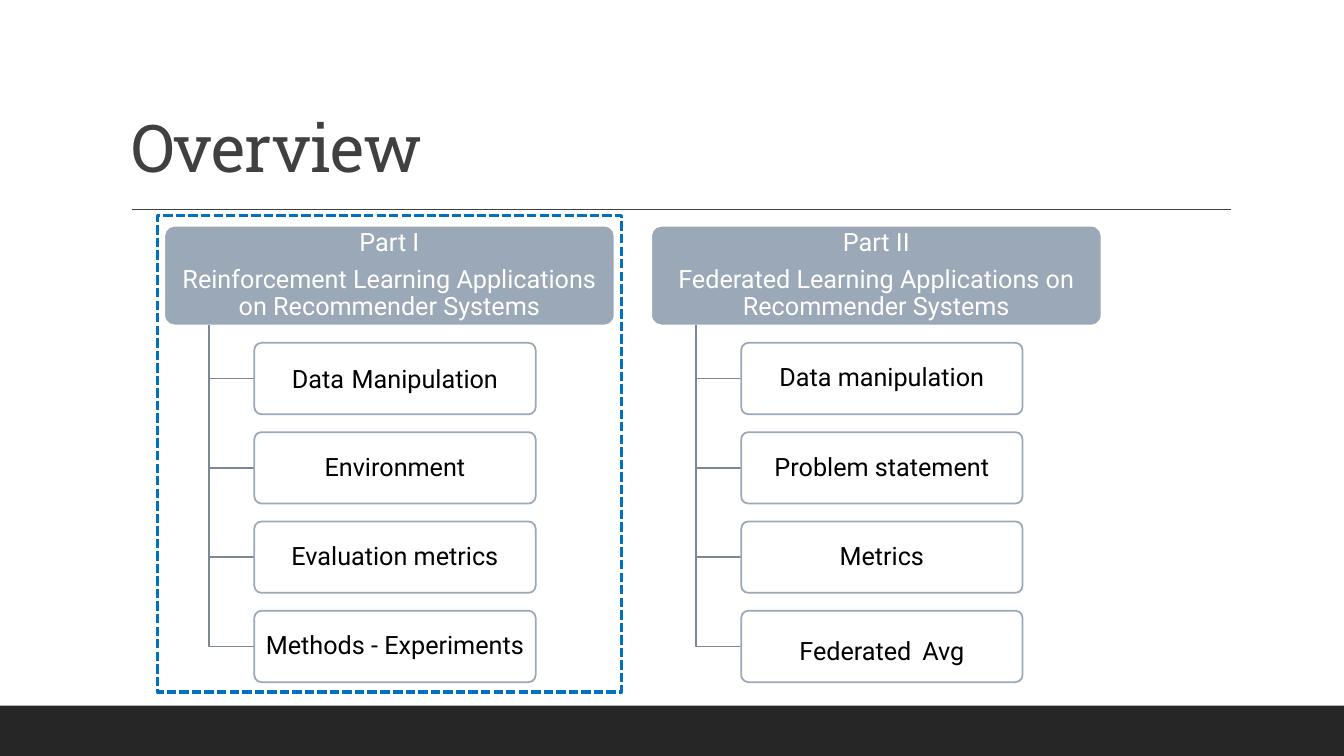
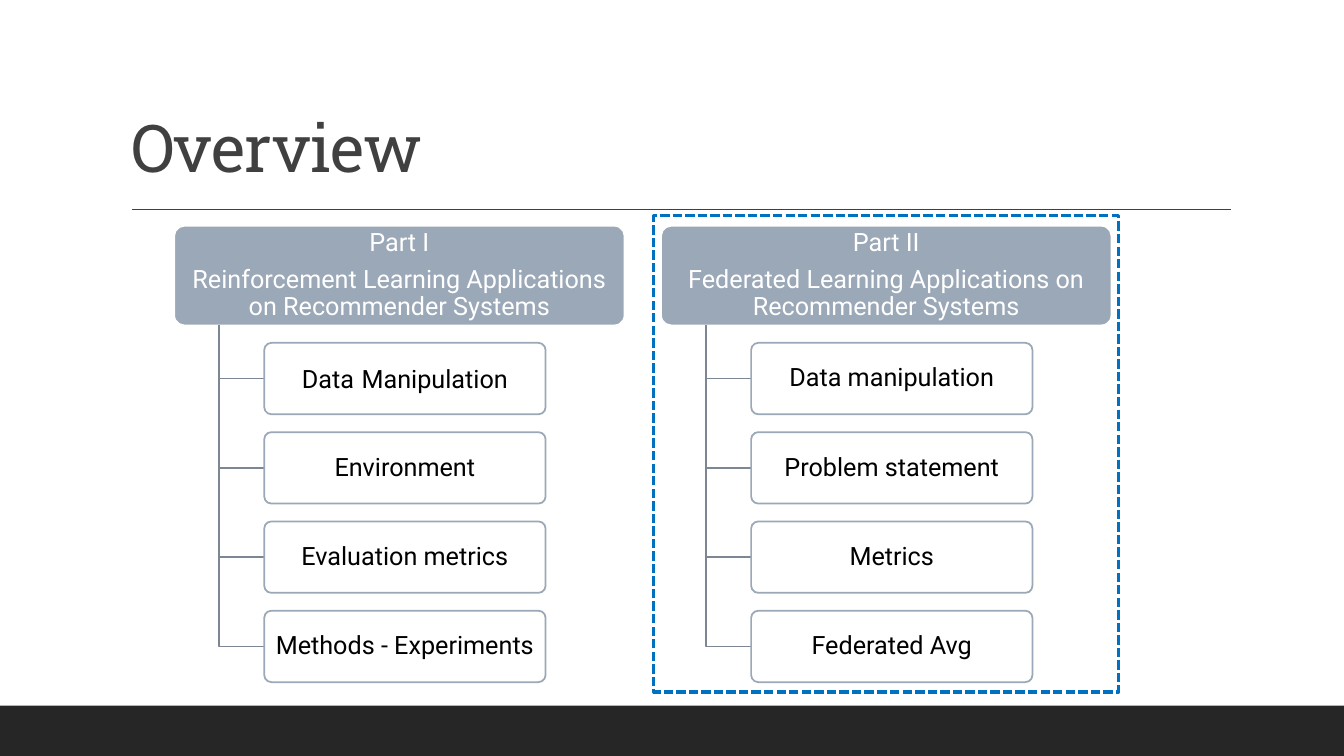
import dataclasses

import pptx
import pptx.dml.color
import pptx.enum.dml
import pptx.enum.shapes
import pptx.enum.text
import pptx.oxml
import pptx.oxml.ns
import pptx.util
from lxml import etree

Cm = pptx.util.Cm
Pt = pptx.util.Pt
Shapes = pptx.enum.shapes.MSO_SHAPE
Align = pptx.enum.text.PP_ALIGN
Anchor = pptx.enum.text.MSO_ANCHOR
qn = pptx.oxml.ns.qn


@dataclasses.dataclass(frozen=True)
class Theme:
    """Colours, fonts and type sizes of the presentation."""

    title_font: str = "Roboto Slab"
    body_font: str = "Roboto"
    title_size: float = 47
    body_size: float = 18
    line_spacing: float = 0.9
    space_after: float = 6.7
    outline_width: float = 1.25
    frame_width: float = 2.25
    dark: str = "404040"
    band: str = "262626"
    slate: str = "9BA8B7"
    branch: str = "7C8793"
    highlight: str = "0070C0"
    white: str = "FFFFFF"
    black: str = "000000"


@dataclasses.dataclass(frozen=True)
class Box:
    """A rectangle measured in centimetres."""

    left: float
    top: float
    width: float
    height: float

    def lengths(self):
        """Return the four measures as lengths."""
        return [Cm(value) for value in dataclasses.astuple(self)]


@dataclasses.dataclass(frozen=True)
class Item:
    """A topic whose first space may have its own type size."""

    text: str
    gap_size: float = Theme.body_size


@dataclasses.dataclass(frozen=True)
class Part:
    """One part of the talk with its topics."""

    heading: tuple
    items: tuple


THEME = Theme()
SLIDE = Box(0, 0, 33.87, 19.05)
TITLE = Box(3.05, 0.79, 27.94, 4.04)
COLUMN = Box(4.14, 5.69, 11.35, 11.5)
COLUMN_PITCH = 12.27
HEADER_HEIGHT = 2.51
STEM_INDENT = 1.13
ITEM_INDENT = 2.27
ITEM_WIDTH = 7.09
ITEM_HEIGHT = 1.8
ITEM_PITCH = 2.25

PART_ONE = Part(
    ("Part I", "Reinforcement Learning Applications on Recommender Systems"),
    (
        Item("Data Manipulation", 22),
        Item("Environment"),
        Item("Evaluation metrics"),
        Item("Methods - Experiments"),
    ),
)


def part_two(gap_size):
    """Return the second part with the given gap in its last topic."""
    return Part(
        ("Part II", "Federated Learning Applications on Recommender Systems"),
        (
            Item("Data manipulation"),
            Item("Problem statement"),
            Item("Metrics"),
            Item("Federated Avg", gap_size),
        ),
    )


def colour(value):
    """Turn a hexadecimal value into a colour."""
    return pptx.dml.color.RGBColor.from_string(value)


def style_shape(shape, fill=None, line=None, width=THEME.outline_width):
    """Set fill and outline and remove the shadow."""
    shape.shadow.inherit = False
    if fill:
        shape.fill.solid()
        shape.fill.fore_color.rgb = colour(fill)
    else:
        shape.fill.background()
    if line:
        shape.line.color.rgb = colour(line)
        shape.line.width = Pt(width)
    else:
        shape.line.fill.background()


def style_paragraph(paragraph, font, size, value, align):
    """Set the type and spacing of a paragraph."""
    paragraph.alignment = align
    paragraph.line_spacing = THEME.line_spacing
    paragraph.font.name = font
    paragraph.font.size = Pt(size)
    paragraph.font.color.rgb = colour(value)


def add_card(slide, box, fill, line, items, text_colour):
    """Add a rounded box with one centred paragraph per item."""
    shape = slide.shapes.add_shape(Shapes.ROUNDED_RECTANGLE, *box.lengths())
    shape.adjustments[0] = 0.1
    style_shape(shape, fill, line)
    frame = shape.text_frame
    frame.word_wrap = True
    frame.vertical_anchor = Anchor.MIDDLE
    frame.margin_left = frame.margin_right = Cm(0.17)
    frame.margin_top = frame.margin_bottom = Cm(0.15)
    for index, item in enumerate(items):
        paragraph = frame.add_paragraph() if index else frame.paragraphs[0]
        style_paragraph(paragraph, THEME.body_font, THEME.body_size, text_colour, Align.CENTER)
        paragraph.space_after = Pt(THEME.space_after)
        if item.gap_size == THEME.body_size:
            paragraph.add_run().text = item.text
            continue
        for text in item.text.partition(" "):
            run = paragraph.add_run()
            run.text = text
            if text == " ":
                run.font.size = Pt(item.gap_size)
    return shape


def add_branch(slide, stem, top, end, middle):
    """Add the angled line from a header to one topic."""
    builder = slide.shapes.build_freeform(Cm(stem), Cm(top))
    builder.add_line_segments([(Cm(stem), Cm(middle)), (Cm(end), Cm(middle))], close=False)
    style_shape(builder.convert_to_shape(), line=THEME.branch)


def add_part(slide, box, part):
    """Add a header with its topics hanging below it."""
    header = Box(box.left, box.top, box.width, HEADER_HEIGHT)
    heading = [Item(text) for text in part.heading]
    add_card(slide, header, THEME.slate, THEME.white, heading, THEME.white)
    first_top = box.top + box.height - ITEM_HEIGHT - ITEM_PITCH * (len(part.items) - 1)
    left = box.left + ITEM_INDENT
    for index, item in enumerate(part.items):
        top = first_top + index * ITEM_PITCH
        add_branch(slide, box.left + STEM_INDENT, box.top + HEADER_HEIGHT, left, top + ITEM_HEIGHT / 2)
        card_box = Box(left, top, ITEM_WIDTH, ITEM_HEIGHT)
        card = add_card(slide, card_box, THEME.white, THEME.slate, [item], THEME.black)
        fill = card.element.spPr.find(qn("a:solidFill"))
        etree.SubElement(fill[0], qn("a:alpha"), val="90000")


def add_highlight(slide, box):
    """Frame the part that comes next with a dashed line."""
    side, end = 0.18, 0.25
    frame = Box(box.left - side, box.top - end, box.width + 2 * side, box.height + 2 * end)
    shape = slide.shapes.add_shape(Shapes.RECTANGLE, *frame.lengths())
    style_shape(shape, line=THEME.highlight, width=THEME.frame_width)
    shape.line.dash_style = pptx.enum.dml.MSO_LINE.SQUARE_DOT


def move_decoration_to_layout(slide, layout):
    """Draw the band and title rule and hand them to the layout."""
    band_height = 1.27
    band_box = Box(0, SLIDE.height - band_height, SLIDE.width, band_height)
    band = slide.shapes.add_shape(Shapes.RECTANGLE, *band_box.lengths())
    style_shape(band, fill=THEME.band)
    rule = slide.shapes.add_connector(
        pptx.enum.shapes.MSO_CONNECTOR.STRAIGHT, Cm(3.33), Cm(5.28), Cm(31.01), Cm(5.28)
    )
    rule.line.color.rgb = colour(THEME.dark)
    rule.line.width = Pt(1)
    etree.SubElement(rule.element.spPr, qn("a:effectLst"))
    for shape in (band, rule):
        layout.shapes.element.append(shape.element)


def set_title(slide, text):
    """Place and format the title placeholder."""
    title = slide.shapes.title
    title.left, title.top, title.width, title.height = TITLE.lengths()
    frame = title.text_frame
    frame.text = text
    frame.auto_size = pptx.enum.text.MSO_AUTO_SIZE.NONE
    frame.vertical_anchor = Anchor.BOTTOM
    style_paragraph(frame.paragraphs[0], THEME.title_font, THEME.title_size, THEME.dark, Align.LEFT)
    for properties in title.element.iter(qn("a:defRPr")):
        properties.set("spc", "-50")


def add_overview(presentation, layout, parts, current, shift):
    """Add an overview slide with the current part framed."""
    slide = presentation.slides.add_slide(layout)
    set_title(slide, "Overview")
    columns = [
        dataclasses.replace(COLUMN, left=COLUMN.left + shift + index * COLUMN_PITCH)
        for index in range(len(parts))
    ]
    for box, part in zip(columns, parts):
        add_part(slide, box, part)
    add_highlight(slide, columns[current])
    return slide


def main():
    """Build and save the presentation."""
    presentation = pptx.Presentation()
    presentation.slide_width = Cm(SLIDE.width)
    presentation.slide_height = Cm(SLIDE.height)
    layout = presentation.slide_layouts[5]
    first = add_overview(presentation, layout, (PART_ONE, part_two(31)), 0, 0)
    move_decoration_to_layout(first, layout)
    add_overview(presentation, layout, (PART_ONE, part_two(THEME.body_size)), 1, 0.25)
    presentation.save("out.pptx")


if __name__ == "__main__":
    main()
